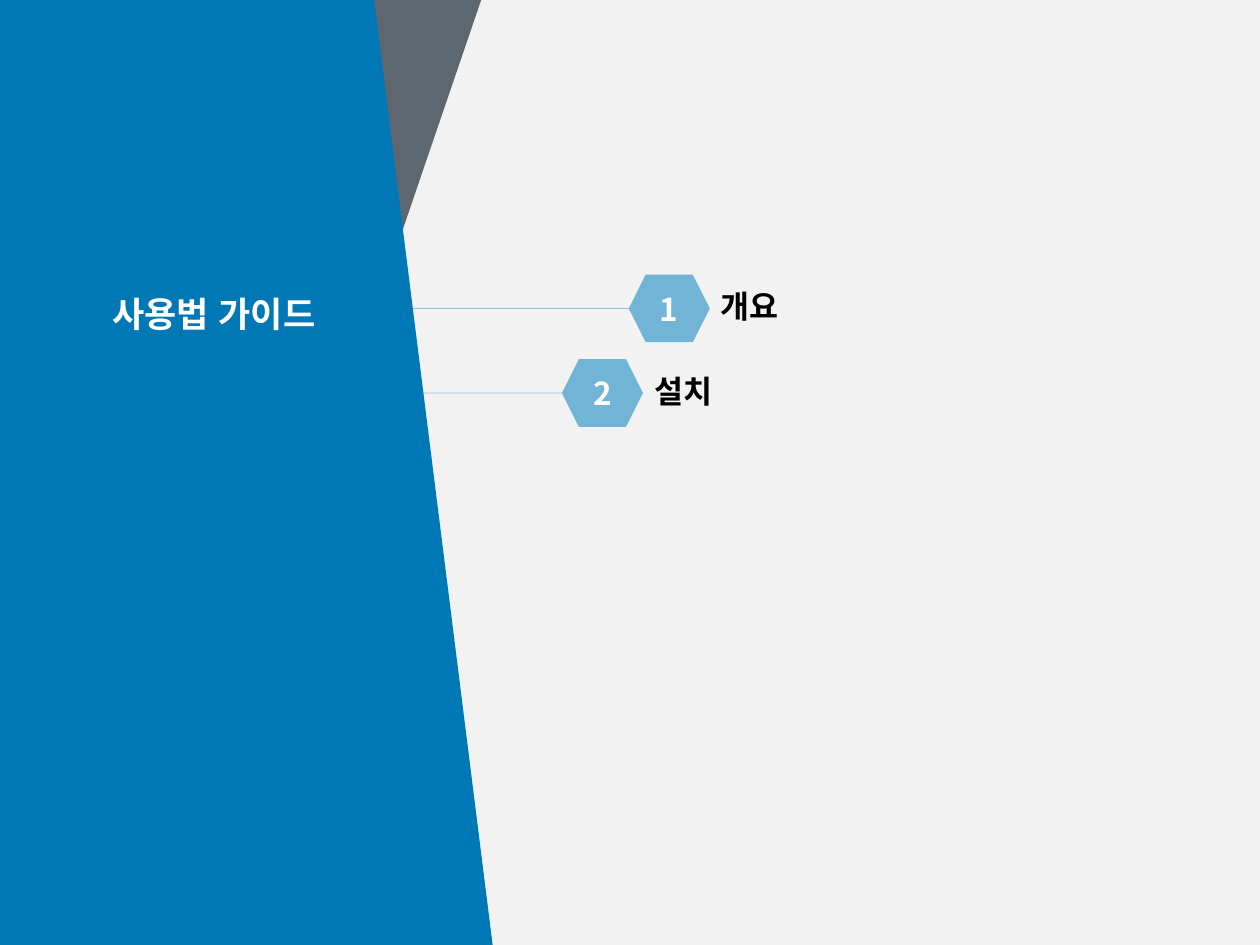
from lxml import etree
from pptx import Presentation
from pptx.dml.color import RGBColor
from pptx.enum.lang import MSO_LANGUAGE_ID
from pptx.enum.shapes import MSO_CONNECTOR, MSO_SHAPE
from pptx.enum.text import MSO_ANCHOR, MSO_AUTO_SIZE, PP_ALIGN
from pptx.oxml.ns import qn
from pptx.util import Pt

BLUE = RGBColor(0x00, 0x78, 0xB6)
LIGHT_BLUE = RGBColor(0x72, 0xB4, 0xD6)
SLATE = RGBColor(0x43, 0x4F, 0x5A)
GREY = RGBColor(0xF2, 0xF2, 0xF2)
WHITE = RGBColor(0xFF, 0xFF, 0xFF)
BLACK = RGBColor(0x00, 0x00, 0x00)


def set_text(shape, text, size, color, align=PP_ALIGN.LEFT, font="Calibri"):
    tf = shape.text_frame
    tf.word_wrap = True
    tf.auto_size = MSO_AUTO_SIZE.NONE
    tf.vertical_anchor = MSO_ANCHOR.MIDDLE
    p = tf.paragraphs[0]
    p.text = text
    p.alignment = align
    p.font.name = font
    p.font.size = Pt(size)
    p.font.bold = True
    p.font.color.rgb = color
    p.runs[0].font.language_id = MSO_LANGUAGE_ID.KOREAN
    return p


def set_alpha(fill_parent, percent):
    color = fill_parent.find(qn("a:solidFill"))[0]
    etree.SubElement(color, qn("a:alpha")).set("val", str(percent * 1000))


prs = Presentation()
prs.slide_width, prs.slide_height = Pt(720), Pt(540)
s = prs.slides.add_slide(prs.slide_layouts[5])
s.background.fill.solid()
s.background.fill.fore_color.rgb = GREY

# Slanted panels: slate triangle behind the blue side panel
panels = [
    (SLATE, 85, [(123.8, 0), (176.4, 288.7), (275, 0)]),
    (BLUE, 100, [(0, 540), (281.5, 540), (213.8, 0), (0, 0)]),
]
for color, opacity, points in panels:
    corners = [(Pt(x), Pt(y)) for x, y in points]
    builder = s.shapes.build_freeform(*corners[0])
    builder.add_line_segments(corners[1:], close=True)
    sp = builder.convert_to_shape()
    sp.shadow.inherit = False
    sp.fill.solid()
    sp.fill.fore_color.rgb = color
    sp.line.fill.background()
    if opacity < 100:
        set_alpha(sp.element.spPr, opacity)

# Title, brought in front of the panels
title = s.shapes.title
title.left, title.top, title.width, title.height = Pt(56.9), Pt(164.9), Pt(176.4), Pt(31.7)
set_text(title, "사용법 가이드", 20, WHITE).line_spacing = 0.9
title.element.getparent().append(title.element)

# Agenda items: connecting line, numbered hexagon, label
HEX_W, HEX_H, LINE_W = 46.3, 38.6, 165
items = [("개요", 359.3, 157), ("설치", 321.1, 205.3)]
for number, (label, x, y) in enumerate(items, 1):
    mid = y + HEX_H / 2
    line = s.shapes.add_connector(MSO_CONNECTOR.STRAIGHT, Pt(x), Pt(mid), Pt(x - LINE_W), Pt(mid))
    line.line.color.rgb = BLUE
    line.line.width = Pt(0.5)
    set_alpha(line.line._get_or_add_ln(), 40)
    etree.SubElement(line.element.spPr, qn("a:effectLst"))

    hexagon = s.shapes.add_shape(MSO_SHAPE.HEXAGON, Pt(x), Pt(y), Pt(HEX_W), Pt(HEX_H))
    hexagon.shadow.inherit = False
    hexagon.fill.solid()
    hexagon.fill.fore_color.rgb = LIGHT_BLUE
    hexagon.line.fill.background()
    set_text(hexagon, str(number), 18, WHITE, PP_ALIGN.CENTER, "Noto Sans CJK KR")

    tb = s.shapes.add_textbox(Pt(x + 45.6), Pt(y + 5.2), Pt(266.4), Pt(28))
    set_text(tb, label, 18, BLACK).line_spacing = 0.9

prs.save("out.pptx")
